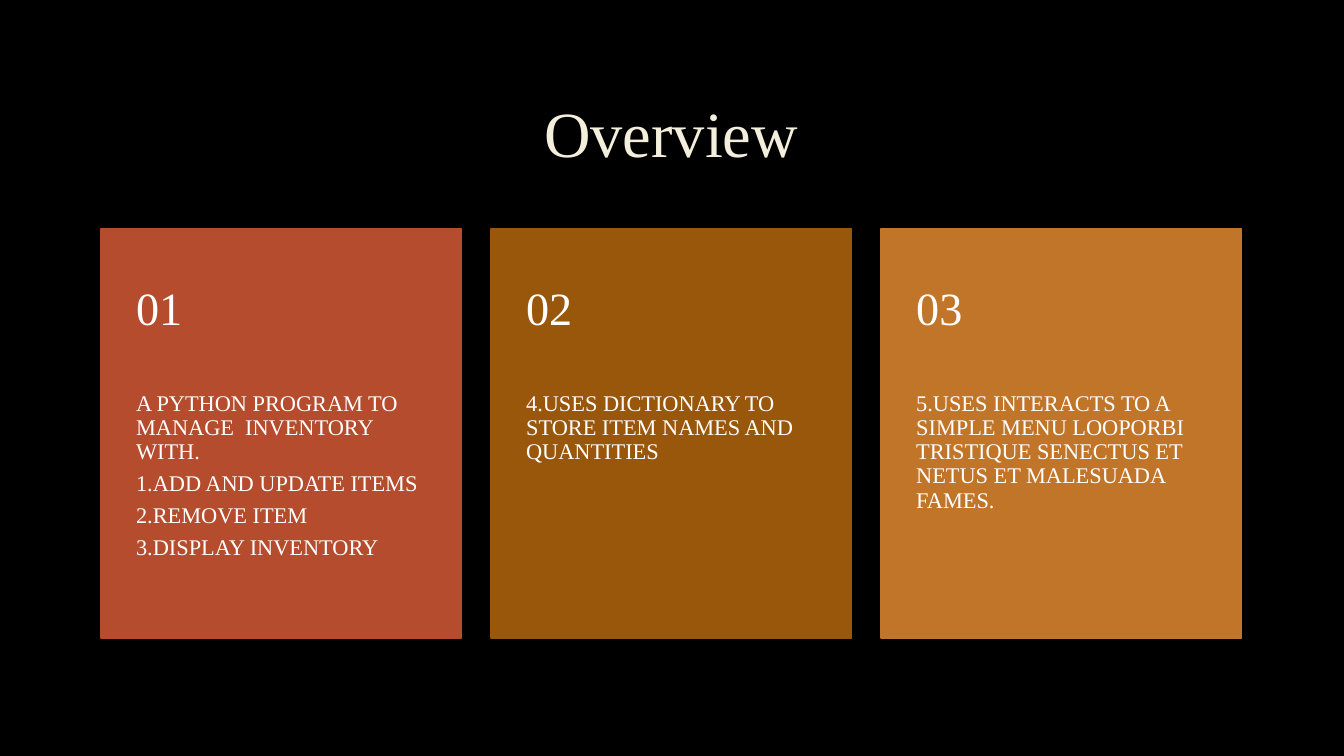
from dataclasses import dataclass

from lxml import etree
from pptx import Presentation
from pptx.dml.color import RGBColor
from pptx.enum.shapes import MSO_SHAPE
from pptx.enum.text import MSO_ANCHOR, MSO_AUTO_SIZE, PP_ALIGN
from pptx.oxml.ns import qn
from pptx.shapes.group import GroupShape
from pptx.text.text import TextFrame
from pptx.util import Cm, Pt

RECTANGLE = MSO_SHAPE.RECTANGLE
TOP, MIDDLE = MSO_ANCHOR.TOP, MSO_ANCHOR.MIDDLE
LEFT, CENTER = PP_ALIGN.LEFT, PP_ALIGN.CENTER
NO_AUTO_SIZE = MSO_AUTO_SIZE.NONE

FONT = "Times New Roman"
COLORS = {
    "background": "000000",
    "title": "F4EEDC",
    "title_outline": "404040",
    "text": "FFFFFF",
    "red": "B54C2D",
    "brown": "99570C",
    "orange": "C17529",
}

# Card grid, in centimetres
CARD_LEFT, CARD_TOP = 2.54, 5.77
CARD_WIDTH, CARD_HEIGHT = 9.09, 10.31
CARD_PITCH = 9.83
NUMBER_HEIGHT = 4.11
BODY_TOP = CARD_TOP + NUMBER_HEIGHT
BODY_HEIGHT = CARD_HEIGHT - NUMBER_HEIGHT
SIDE_INSET = 0.89


@dataclass(frozen=True)
class Card:
    color: str
    lines: tuple[str, ...]


CARDS = (
    Card("red", (
        "A PYTHON PROGRAM TO MANAGE  INVENTORY WITH.",
        "1.ADD AND UPDATE ITEMS",
        "2.REMOVE ITEM",
        "3.DISPLAY INVENTORY",
    )),
    Card("brown", ("4.USES DICTIONARY TO STORE ITEM NAMES AND QUANTITIES",)),
    Card("orange", (
        "5.USES INTERACTS TO A SIMPLE MENU LOOPORBI TRISTIQUE "
        "SENECTUS ET NETUS ET MALESUADA FAMES.",
    )),
)


def rgb(name: str) -> RGBColor:
    return RGBColor.from_string(COLORS[name])


def write_text(frame: TextFrame, *lines: str, size: float, color: str = "text",
               align: PP_ALIGN = LEFT, anchor: MSO_ANCHOR = TOP,
               space_after: float = 0) -> None:
    """Fill a text frame with one formatted paragraph per line."""
    frame.word_wrap = True
    frame.auto_size = NO_AUTO_SIZE
    frame.vertical_anchor = anchor
    for index, line in enumerate(lines):
        paragraph = frame.add_paragraph() if index else frame.paragraphs[0]
        paragraph.alignment = align
        paragraph.line_spacing = 0.9
        paragraph.space_before = Pt(0)
        paragraph.space_after = Pt(space_after)
        run = paragraph.add_run()
        run.text = line
        run.font.name = FONT
        run.font.size = Pt(size)
        run.font.color.rgb = rgb(color)


def outline_text(frame: TextFrame, color: str, width: float, opacity: int) -> None:
    """Give every run a thin, mostly transparent outline."""
    for paragraph in frame.paragraphs:
        for run in paragraph.runs:
            line = etree.Element(qn("a:ln"), w=str(Pt(width)))
            fill = etree.SubElement(line, qn("a:solidFill"))
            tint = etree.SubElement(fill, qn("a:srgbClr"), val=COLORS[color])
            etree.SubElement(tint, qn("a:alpha"), val=str(opacity * 1000))
            run.font._element.insert(0, line)


def add_card_text(group: GroupShape, left: float, top: float, height: float,
                  top_inset: float, bottom_inset: float) -> TextFrame:
    box = group.shapes.add_textbox(Cm(left), Cm(top), Cm(CARD_WIDTH), Cm(height))
    frame = box.text_frame
    frame.margin_left = frame.margin_right = Cm(SIDE_INSET)
    frame.margin_top, frame.margin_bottom = Cm(top_inset), Cm(bottom_inset)
    return frame


def add_card(group: GroupShape, card: Card, index: int) -> None:
    left = CARD_LEFT + index * CARD_PITCH
    panel = group.shapes.add_shape(RECTANGLE, Cm(left), Cm(CARD_TOP),
                                   Cm(CARD_WIDTH), Cm(CARD_HEIGHT))
    panel.shadow.inherit = False
    panel.fill.solid()
    panel.fill.fore_color.rgb = rgb(card.color)
    panel.line.color.rgb = rgb(card.color)
    panel.line.width = Pt(1.25)

    body = add_card_text(group, left, BODY_TOP, BODY_HEIGHT, 0, 0.91)
    write_text(body, *card.lines, size=16, space_after=5.6)

    number = add_card_text(group, left, CARD_TOP, NUMBER_HEIGHT, 0.46, 0.46)
    write_text(number, f"{index + 1:02d}", size=33, anchor=MIDDLE)


def main() -> None:
    presentation = Presentation()
    presentation.slide_width, presentation.slide_height = Cm(33.87), Cm(19.05)
    slide = presentation.slides.add_slide(presentation.slide_layouts[5])
    slide.background.fill.solid()
    slide.background.fill.fore_color.rgb = rgb("background")

    # Title
    title = slide.shapes.title
    title.left, title.top = Cm(CARD_LEFT), Cm(1.7)
    title.width, title.height = Cm(28.75), Cm(3.5)
    write_text(title.text_frame, "Overview", size=46, color="title",
               align=CENTER, anchor=MIDDLE)
    outline_text(title.text_frame, "title_outline", width=0.75, opacity=10)

    # Numbered cards
    group = slide.shapes.add_group_shape()
    for index, card in enumerate(CARDS):
        add_card(group, card, index)

    presentation.save("out.pptx")


if __name__ == "__main__":
    main()
